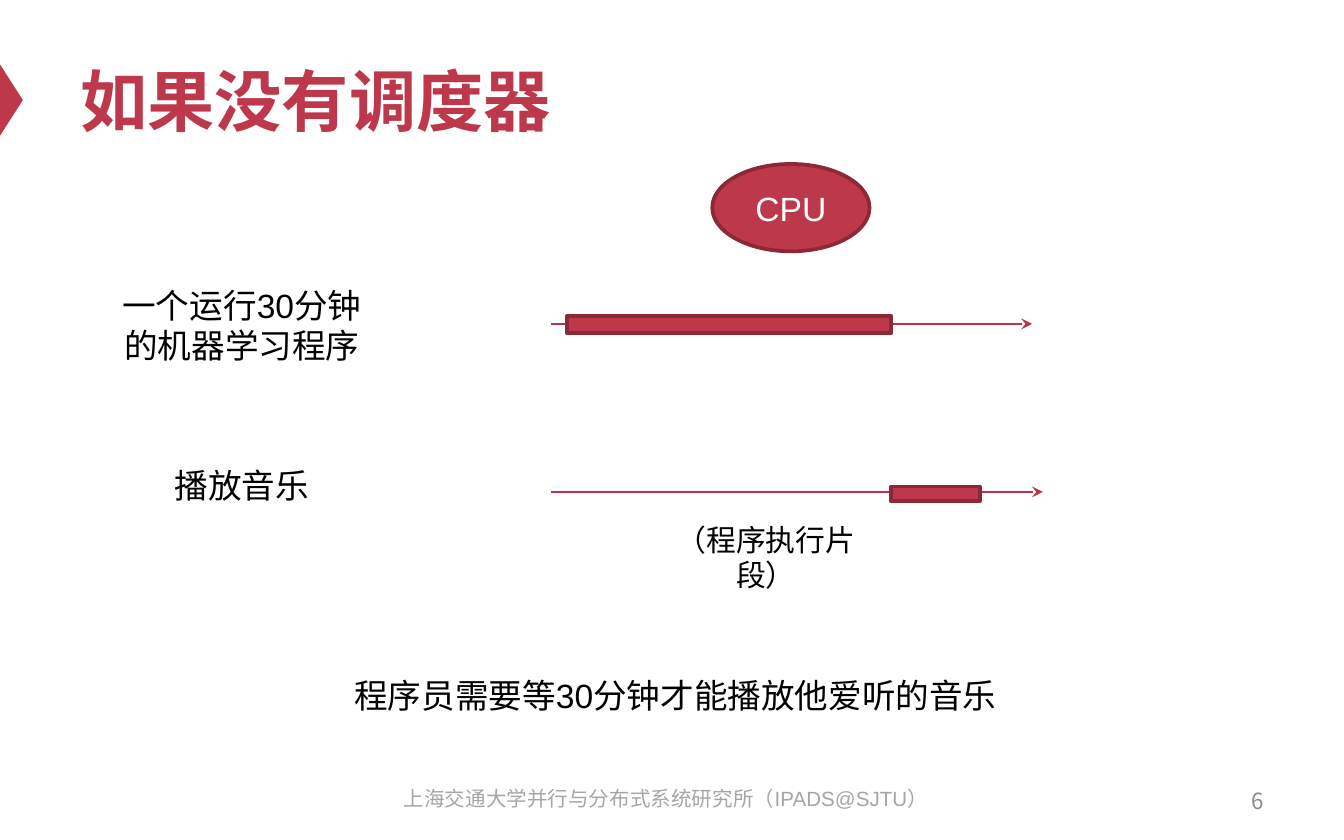
from lxml import etree
from pptx import Presentation
from pptx.dml.color import RGBColor
from pptx.enum import shapes, text
from pptx.oxml import ns
from pptx.util import Inches, Pt

RED = RGBColor(0xBE, 0x38, 0x4B)
AXIS_RED = RGBColor(0xBD, 0x33, 0x47)
DARK_RED = RGBColor(0x8D, 0x29, 0x37)
BLACK = RGBColor(0, 0, 0)
WHITE = RGBColor(255, 255, 255)
GRAY = RGBColor(0x8C, 0x8C, 0x8C)
LIGHT_GRAY = RGBColor(0xA6, 0xA6, 0xA6)

LEFT, CENTER, RIGHT = (text.PP_ALIGN.LEFT, text.PP_ALIGN.CENTER,
                       text.PP_ALIGN.RIGHT)
TOP, MIDDLE = text.MSO_ANCHOR.TOP, text.MSO_ANCHOR.MIDDLE
SHAPE = shapes.MSO_SHAPE

# Boxes are left, top, width, height in inches.
TITLE = ("如果没有调度器", (0.5, 0.25, 9, 0.98))
PAGE = ("6", (7.17, 5.79, 2.33, 0.33))
FOOTER = ("上海交通大学并行与分布式系统研究所（IPADS@SJTU）", (2.79, 5.8, 4.33, 0.33))
MARKER = (-0.18, 0.66, 0.53, 0.17)
CPU = ("CPU", (5.3, 1.22, 1.17, 0.65))
LABELS = [
    ("一个运行30分钟的机器学习程序", (0.7, 2.07, 2.2, 0.71), 18),
    ("播放音乐", (0.7, 3.41, 2.2, 0.4), 18),
    ("（程序执行片段）", (4.77, 3.83, 1.86, 0.37), 16),
    ("程序员需要等30分钟才能播放他爱听的音乐", (1.64, 4.97, 6.77, 0.4), 18),
]
AXIS_START = 4.1
BUSY_START, SWITCH = 4.22, 6.63  # the music starts when the first job ends
TIMELINES = [  # axis y, axis end, segment box
    (2.41, 7.68, (BUSY_START, 2.35, SWITCH - BUSY_START, 0.13)),
    (3.66, 7.76, (SWITCH, 3.62, 0.66, 0.11)),
]

prs = Presentation()
prs.slide_width, prs.slide_height = Inches(10), Inches(6.25)
sp_tree = prs.slides.add_slide(prs.slide_layouts[6]).shapes


def write(sp, words, size, color, align=CENTER, anchor=TOP, font="Arial",
          bold=False):
    tf = sp.text_frame
    tf.word_wrap = True
    tf.vertical_anchor = anchor
    p = tf.paragraphs[0]
    p.text = words
    p.alignment = align
    f = p.font
    f.name, f.size, f.bold = font, Pt(size), bold
    f.color.rgb = color


def add_text(words, box, size, color, **style):
    sp = sp_tree.add_textbox(*map(Inches, box))
    write(sp, words, size, color, **style)


def add_filled(kind, box, outlined=True):
    sp = sp_tree.add_shape(kind, *map(Inches, box))
    sp.shadow.inherit = False
    sp.fill.solid()
    sp.fill.fore_color.rgb = RED
    if outlined:
        sp.line.color.rgb = DARK_RED
        sp.line.width = Pt(2)
    else:
        sp.line.fill.background()
    return sp


def add_axis(y, end):
    axis = sp_tree.add_connector(
        shapes.MSO_CONNECTOR.STRAIGHT,
        Inches(AXIS_START), Inches(y), Inches(end), Inches(y))
    axis.line.color.rgb = AXIS_RED
    axis.line.width = Pt(1)
    etree.SubElement(axis.line._get_or_add_ln(), ns.qn("a:tailEnd"),
                     type="stealth")
    etree.SubElement(axis._element.spPr, ns.qn("a:effectLst"))


add_filled(SHAPE.ISOSCELES_TRIANGLE, MARKER, outlined=False).rotation = 90
add_text(*TITLE, 36, RED, align=LEFT, anchor=MIDDLE, bold=True)
add_text(*PAGE, 12, GRAY, align=RIGHT, anchor=MIDDLE, font="Noto Sans CJK SC")
add_text(*FOOTER, 11, LIGHT_GRAY)

for y, end, _ in TIMELINES:
    add_axis(y, end)
for _, _, segment in TIMELINES:
    add_filled(SHAPE.RECTANGLE, segment)

words, box = CPU
write(add_filled(SHAPE.OVAL, box), words, 18, WHITE, anchor=MIDDLE)
for words, box, size in LABELS:
    add_text(words, box, size, BLACK)

prs.save("out.pptx")
